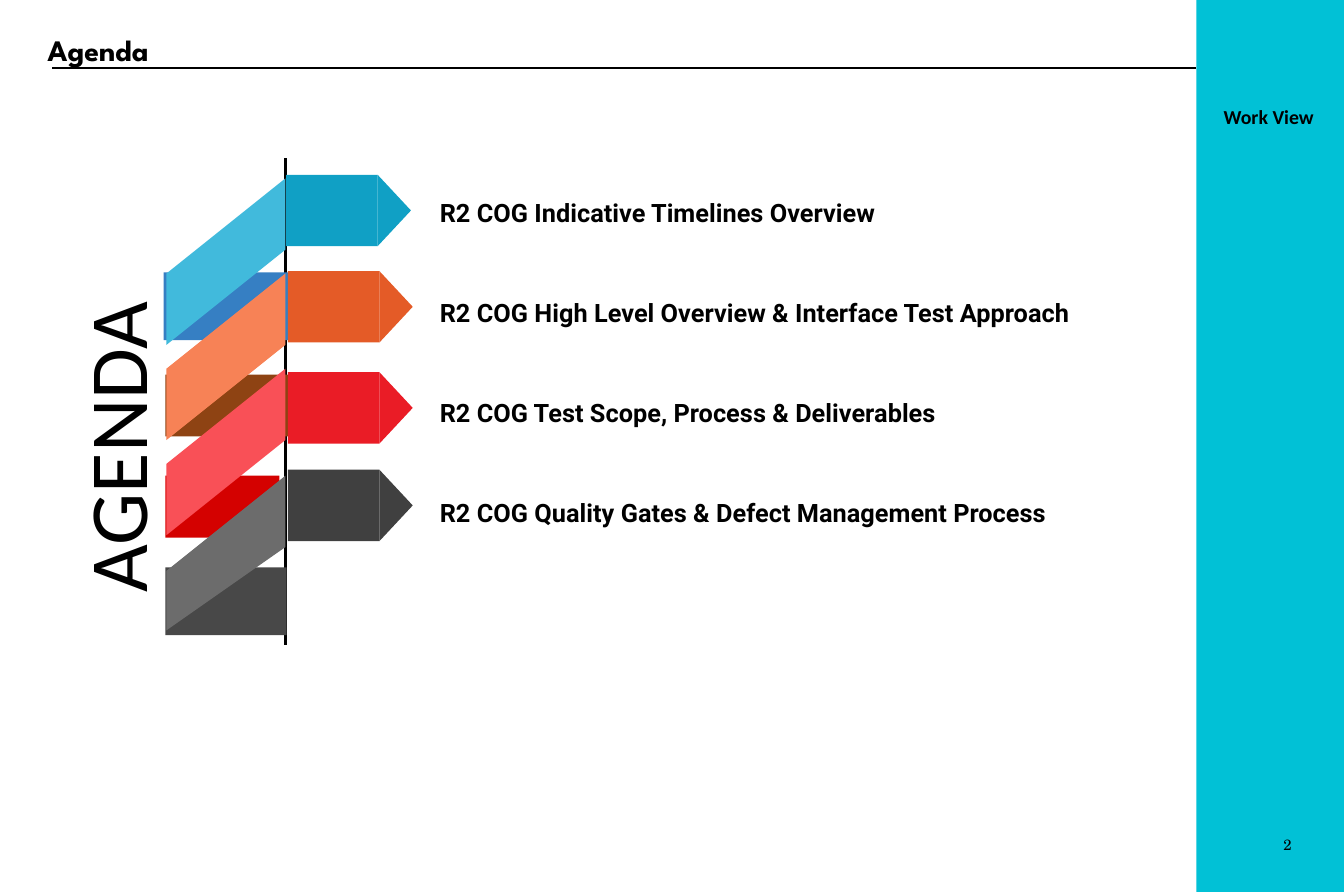
from lxml import etree
from pptx import Presentation
from pptx.dml.color import RGBColor
from pptx.enum.shapes import MSO_CONNECTOR, MSO_SHAPE
from pptx.enum.text import MSO_ANCHOR, MSO_AUTO_SIZE, PP_ALIGN
from pptx.oxml.ns import qn
from pptx.util import Inches, Pt

STRAIGHT = MSO_CONNECTOR.STRAIGHT
RECTANGLE = MSO_SHAPE.RECTANGLE
TRIANGLE = MSO_SHAPE.ISOSCELES_TRIANGLE
TOP, MIDDLE = MSO_ANCHOR.TOP, MSO_ANCHOR.MIDDLE
LEFT, CENTER, RIGHT = PP_ALIGN.LEFT, PP_ALIGN.CENTER, PP_ALIGN.RIGHT
NO_FIT = MSO_AUTO_SIZE.NONE

COLUMNS, ROWS = 113, 75
BLACK, CYAN = "000000", "01C1D6"
TITLE_ONLY = 5


def color(value):
    return RGBColor.from_string(value)


class AgendaSlide:
    def __init__(self, presentation):
        self.column = presentation.slide_width / COLUMNS
        self.row = presentation.slide_height / ROWS
        self.slide = presentation.slides.add_slide(presentation.slide_layouts[TITLE_ONLY])
        self.shapes = self.slide.shapes

    def place(self, left, top, width, height):
        return (round(left * self.column), round(top * self.row),
                round(width * self.column), round(height * self.row))

    def paint(self, shape, fill):
        shape.shadow.inherit = False
        shape.fill.solid()
        shape.fill.fore_color.rgb = color(fill)
        shape.line.fill.background()
        return shape

    def block(self, box, fill, preset=RECTANGLE, rotation=0):
        shape = self.shapes.add_shape(preset, *self.place(*box))
        shape.rotation = rotation
        return self.paint(shape, fill)

    def band(self, points, fill):
        builder = self.shapes.build_freeform(*points[0], scale=(self.column, self.row))
        builder.add_line_segments(points[1:], close=True)
        return self.paint(builder.convert_to_shape(), fill)

    def line(self, start, end, width):
        connector = self.shapes.add_connector(STRAIGHT, *self.place(*start, *end))
        connector.line.color.rgb = color(BLACK)
        connector.line.width = Pt(width)
        etree.SubElement(connector._element.spPr, qn("a:effectLst"))

    def fill_text(self, shape, lines, font, size, bold=False, align=LEFT,
                  anchor=TOP, spacing=None, gap=0):
        frame = shape.text_frame
        frame.word_wrap = True
        frame.auto_size = NO_FIT
        frame.vertical_anchor = anchor
        for index, line in enumerate(lines):
            paragraph = frame.add_paragraph() if index else frame.paragraphs[0]
            paragraph.alignment = align
            if spacing:
                paragraph.line_spacing = spacing
            if index:
                paragraph.space_before = Pt(gap)
            run = paragraph.add_run()
            run.text = line
            run.font.name = font
            run.font.size = Pt(size)
            run.font.bold = bold
            run.font.color.rgb = color(BLACK)

    def title(self, box, text, font, size):
        title = self.shapes.title
        title.left, title.top, title.width, title.height = self.place(*box)
        self.fill_text(title, [text], font, size, bold=True, anchor=MIDDLE)

    def text(self, box, lines, font, size, rotation=0, **style):
        shape = self.shapes.add_textbox(*self.place(*box))
        shape.rotation = rotation
        self.fill_text(shape, lines, font, size, **style)

    def page_number(self, box, number):
        shape = self.block(box, CYAN)
        frame = shape.text_frame
        frame.margin_left = frame.margin_right = 0
        frame.margin_top = frame.margin_bottom = 0
        self.fill_text(shape, [number], "TeX Gyre Schola", 9, align=RIGHT, anchor=MIDDLE)

    def ribbon(self, left, top, fold_right, fold_height, fold, light, strong):
        width, height, drop, slant = 7.7, 6, 8, 10.4
        tip_width = 2.8
        bottom = top + drop + height - 0.1
        fold_left = left - slant + 0.1
        self.block((fold_left, bottom - fold_height, fold_right - fold_left, fold_height), fold)
        self.band([(left, top), (left + 0.05, top + height),
                   (left - slant, bottom), (left - slant - 0.1, top + drop)], light)
        self.block((left, top, width, height), strong)
        center = left + width + tip_width / 2
        self.block((center - height / 2, top + (height - tip_width) / 2, height, tip_width),
                   strong, TRIANGLE, 90)


def main():
    presentation = Presentation()
    presentation.slide_width, presentation.slide_height = Inches(11.3), Inches(7.5)
    agenda = AgendaSlide(presentation)

    agenda.line((4.4, 5.7), (100.6, 5.7), 1)
    agenda.block((100.6, 0, 12.4, 75), CYAN)
    agenda.text((101.9, 8.3, 10.5, 3.6), ["Work View"], "Calibri", 12, bold=True)
    agenda.page_number((102.6, 70, 6, 2), "2")
    agenda.title((3, 2.1, 97, 4.2), "Agenda", "League Spartan", 18)

    agenda.text((-6, 32.9, 31.3, 9.4), ["AGENDA"], "Calibri", 50, rotation=270, align=CENTER)
    agenda.text((36, 14.5, 59.7, 30.3), [
        "R2 COG Indicative Timelines Overview",
        "R2 COG High Level Overview & Interface Test Approach",
        "R2 COG Test Scope, Process & Deliverables",
        "R2 COG Quality Gates & Defect Management Process",
    ], "Roboto", 15.3, bold=True, anchor=MIDDLE, spacing=1.65, gap=30.3)

    agenda.line((24, 13.3), (24, 54.2), 1.5)
    ribbons = [
        (24.05, 14.7, 24.5, 5.7, "367FC3", "41BADC", "10A0C5"),
        (24.2, 22.8, 24.6, 5.2, "8E4313", "F78256", "E45B27"),
        (24.2, 31.3, 23.5, 5.2, "D40100", "F95057", "EA1C26"),
        (24.2, 39.5, 24.1, 5.7, "484848", "6C6C6C", "404040"),
    ]
    for ribbon in ribbons:
        agenda.ribbon(*ribbon)

    presentation.save("out.pptx")


if __name__ == "__main__":
    main()
